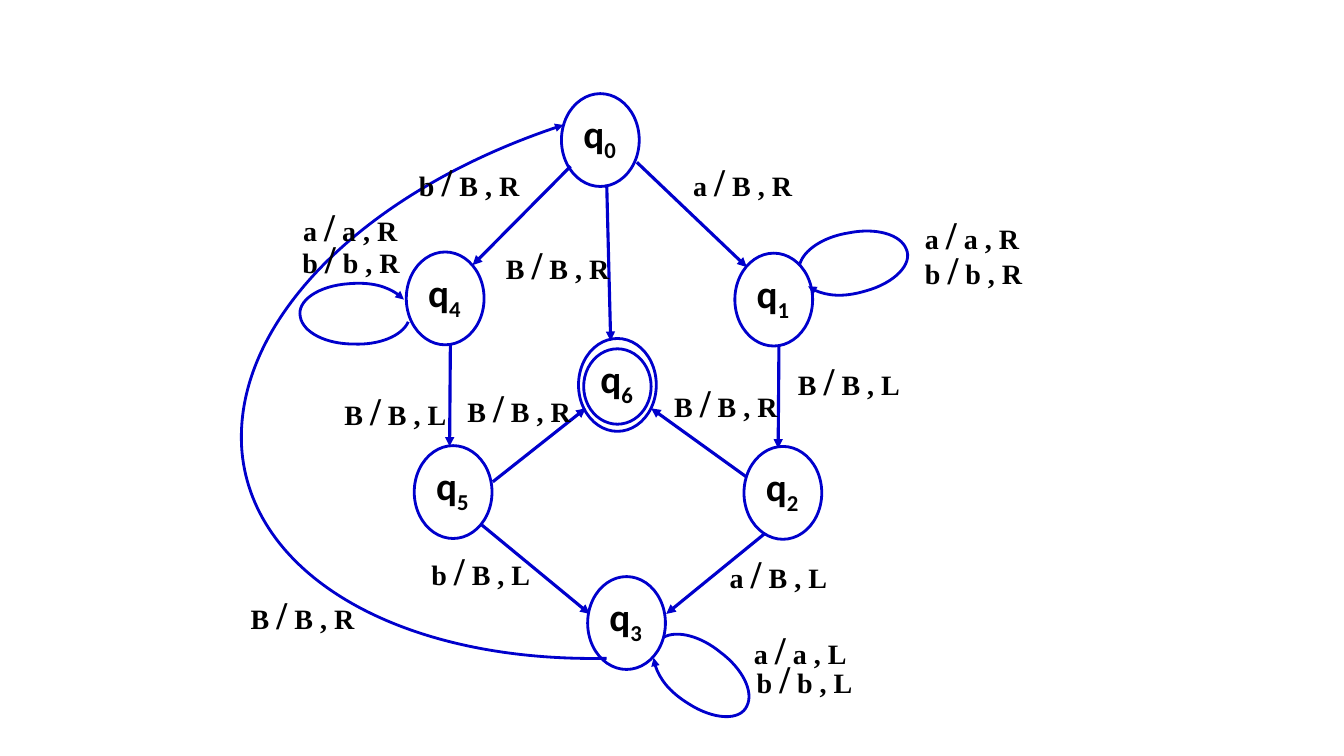
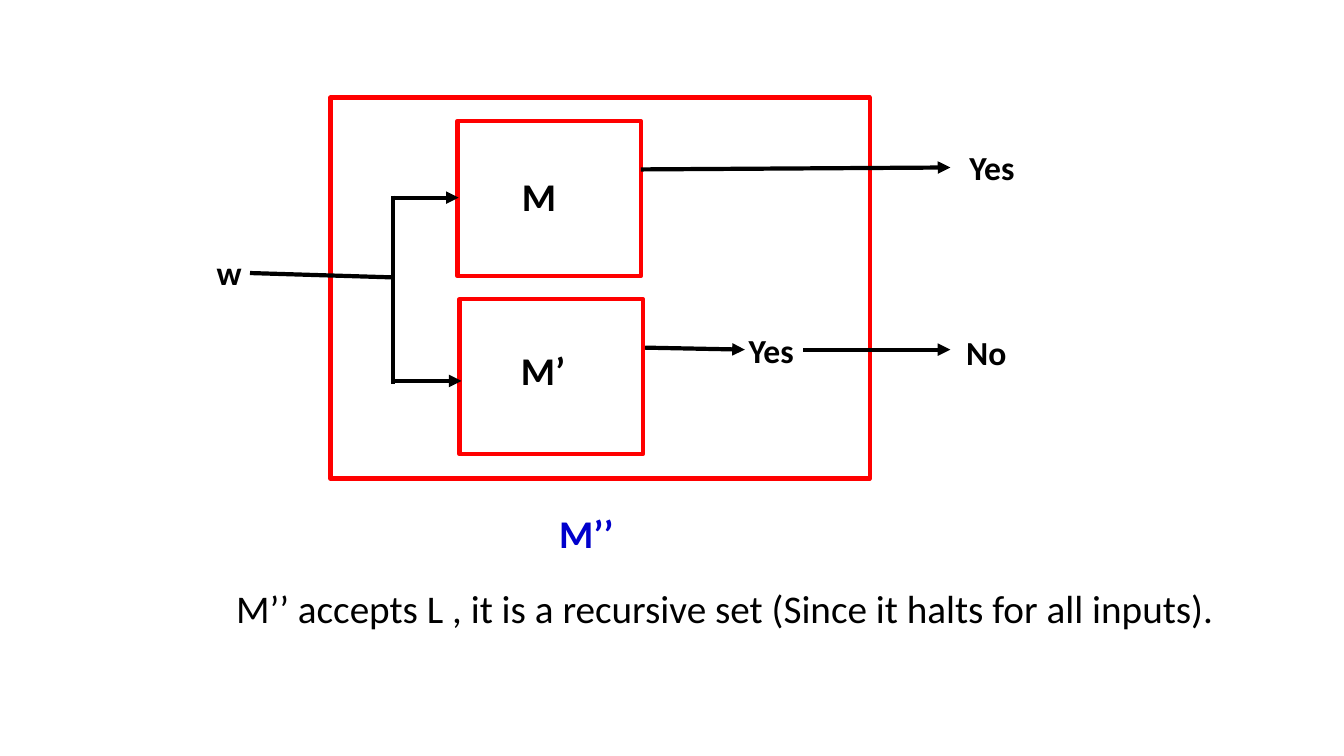
from math import cos, radians, sin

from lxml import etree
from pptx import Presentation
from pptx.dml.color import RGBColor
from pptx.enum.shapes import MSO_CONNECTOR, MSO_SHAPE
from pptx.oxml.ns import qn
from pptx.util import Cm, Pt

STRAIGHT = MSO_CONNECTOR.STRAIGHT
ELLIPSE = MSO_SHAPE.OVAL
RECTANGLE = MSO_SHAPE.RECTANGLE

COLOURS = {"ink": "000000", "blue": "0000CC", "red": "FF0000"}
SANS, SERIF = "Calibri", "Times New Roman"

STATE_SIZE = (1.96, 2.34)
LABEL_SIZE = (3.45, 1.63)
MACHINE_SIZE = (4.62, 3.91)

# Bezier points of a self-loop, measured from its centre
LOOP = [(-1.35, -0.2), (-1.19, -0.56), (-0.61, -0.79), (0.03, -0.76),
        (0.74, -0.76), (1.3, -0.46), (1.37, -0.08), (1.47, 0.33),
        (0.91, 0.71), (0.15, 0.76), (-0.43, 0.81), (-0.99, 0.64),
        (-1.24, 0.36)]


class Diagram:
    """Holds the deck, its style and the current page."""

    def __init__(self):
        self.deck = Presentation()
        self.deck.slide_width = Cm(33.87)
        self.deck.slide_height = Cm(19.05)
        self.page = None

    def new_page(self):
        self.page = self.deck.slides.add_slide(self.deck.slide_layouts[6])

    def stroke(self, shape, colour, width, arrow=False):
        shape.line.color.rgb = RGBColor.from_string(COLOURS[colour])
        shape.line.width = Pt(width)
        if arrow:
            line = shape._element.spPr.find(qn("a:ln"))
            etree.SubElement(line, qn("a:tailEnd"), type="triangle")

    def outline(self, kind, corner, size, colour, width):
        shape = self.page.shapes.add_shape(
            kind, *(Cm(value) for value in (*corner, *size)))
        shape.fill.background()
        shape.shadow.inherit = False
        self.stroke(shape, colour, width)

    def text(self, corner, size, spans, font=SANS, colour="ink", bold=True):
        """Each span is (words, points) or (words, points, baseline)."""
        box = self.page.shapes.add_textbox(
            *(Cm(value) for value in (*corner, *size)))
        box.text_frame.word_wrap = True
        para = box.text_frame.paragraphs[0]
        for words, points, *baseline in spans:
            span = para.add_run()
            span.text = words
            span.font.name = font
            span.font.size = Pt(points)
            span.font.bold = bold
            span.font.color.rgb = RGBColor.from_string(COLOURS[colour])
            if baseline:
                span._r.get_or_add_rPr().set("baseline", str(baseline[0]))

    def line(self, start, end, colour, width, arrow=True):
        connector = self.page.shapes.add_connector(
            STRAIGHT, *(Cm(value) for value in (*start, *end)))
        self.stroke(connector, colour, width, arrow)
        etree.SubElement(connector._element.spPr, qn("a:effectLst"))

    def curve(self, points):
        """Draw an arrow through a chain of cubic Bezier points."""
        start, *rest = [(Cm(x), Cm(y)) for x, y in points]
        builder = self.page.shapes.build_freeform(*start)
        builder.add_line_segments(rest, close=False)
        shape = builder.convert_to_shape()
        shape.fill.background()
        shape.shadow.inherit = False
        self.stroke(shape, "blue", 2, arrow=True)
        # Join every three straight segments into one curved segment
        outline = next(shape._element.iter(qn("a:path")))
        segments = outline.findall(qn("a:lnTo"))
        for first in range(0, len(segments), 3):
            bezier = etree.SubElement(outline, qn("a:cubicBezTo"))
            for segment in segments[first:first + 3]:
                bezier.append(segment[0])
                outline.remove(segment)

    def loop(self, centre, degrees):
        turn = radians(degrees)
        self.curve([(centre[0] + x * cos(turn) - y * sin(turn),
                     centre[1] + x * sin(turn) + y * cos(turn))
                    for x, y in LOOP])

    def state(self, number, x, y):
        self.outline(ELLIPSE, (x, y), STATE_SIZE, "blue", 2)
        self.text((x + 0.3, y + 0.28), (1.68, 1.3),
                  [("q", 28), (number, 28, -25000)])

    def rule(self, read, action, x, y):
        self.text((x, y), LABEL_SIZE,
                  [(f"{read} ", 20), ("/", 28), (f" {action}", 20)], SERIF)


def turing_machine(diagram):
    diagram.new_page()

    # States, with a second ring on the final one
    for number, x, y in [("0", 14.15, 2.36), ("4", 10.24, 6.35),
                         ("1", 18.52, 6.38), ("5", 10.44, 11.23),
                         ("2", 18.75, 11.25), ("6", 14.58, 8.53),
                         ("3", 14.81, 14.53)]:
        diagram.state(number, x, y)
    diagram.outline(ELLIPSE, (14.71, 8.79), (1.7, 1.9), "blue", 2)

    # Straight transitions
    for start, end in [
        ((14.38, 4.19), (11.91, 6.68)),
        ((16.05, 4.09), (18.82, 6.73)),
        ((11.35, 8.66), (11.33, 11.25)),
        ((19.63, 8.71), (19.61, 11.3)),
        ((12.12, 13.21), (14.86, 15.47)),
        ((19.28, 13.44), (16.79, 15.47)),
        ((15.29, 4.65), (15.39, 8.59)),
        ((12.42, 12.14), (14.76, 10.29)),
        ((18.8, 12.01), (16.41, 10.29)),
    ]:
        diagram.line(start, end, "blue", 2.25)

    # Self-loops and the way back to the start
    diagram.loop((21.51, 6.62), -11.4)
    diagram.loop((8.94, 7.91), 180)
    diagram.loop((17.68, 17.03), 36.8)
    diagram.curve([(15.29, 16.59), (10.16, 16.69), (6.4, 14.55),
                   (6.1, 11.4), (5.82, 8.2), (9.14, 4.8), (14.2, 3.15)])

    # Transition labels
    for read, action, x, y in [
        ("b", "B , R", 10.31, 3.84), ("a", "B , R", 17.22, 3.84),
        ("a", "a , R", 7.39, 4.98), ("b", "b , R", 7.37, 5.79),
        ("a", "a , R", 23.06, 5.18), ("b", "b , R", 23.06, 6.05),
        ("B", "B , L", 19.86, 8.86), ("B", "B , L", 8.43, 9.6),
        ("a", "B , L", 18.14, 13.72), ("b", "B , L", 10.62, 13.64),
        ("a", "a , L", 18.75, 15.62), ("b", "b , L", 18.82, 16.36),
        ("B", "B , R", 12.5, 5.94), ("B", "B , R", 11.53, 9.53),
        ("B", "B , R", 16.74, 9.4), ("B", "B , R", 6.07, 14.76),
    ]:
        diagram.rule(read, action, x, y)


def combined_machine(diagram):
    diagram.new_page()

    # Outer machine and the two inside it
    diagram.outline(RECTANGLE, (8.33, 2.46), (13.59, 9.6), "red", 3)
    for corner in [(11.53, 3.05), (11.58, 7.54)]:
        diagram.outline(RECTANGLE, corner, MACHINE_SIZE, "red", 3)

    # Input wires
    diagram.line((6.3, 6.88), (9.91, 6.99), "ink", 3, arrow=False)
    diagram.line((9.91, 4.93), (9.91, 9.68), "ink", 3, arrow=False)

    # Arrows into and out of the machines
    for start, end in [
        ((9.88, 4.98), (11.56, 4.98)),
        ((9.96, 9.6), (11.63, 9.6)),
        ((16.15, 4.27), (23.95, 4.22)),
        ((16.26, 8.76), (18.77, 8.81)),
        ((20.24, 8.81), (23.95, 8.81)),
    ]:
        diagram.line(start, end, "ink", 3)

    # Names, input and answers
    for words, points, corner, width in [
        ("M", 28, (12.9, 4.22), 2.01), ("M’", 28, (12.88, 8.61), 2.01),
        ("w", 24, (5.21, 6.22), 1.09), ("Yes", 24, (24.18, 3.58), 2.18),
        ("Yes", 24, (18.62, 8.18), 2.18), ("No", 24, (24.1, 8.23), 2.18),
    ]:
        diagram.text(corner, (width, 1.4), [(words, points)])
    diagram.text((13.84, 12.7), (2.79, 1.45), [("M’’", 28)], colour="blue")

    # Conclusion
    diagram.text(
        (5.7, 14.6), (25.85, 1.45),
        [("M’’ accepts L , it is a recursive set "
          "(Since it halts for all inputs).", 28)], bold=False)


def main():
    diagram = Diagram()
    turing_machine(diagram)
    combined_machine(diagram)
    diagram.deck.save("out.pptx")


if __name__ == "__main__":
    main()
